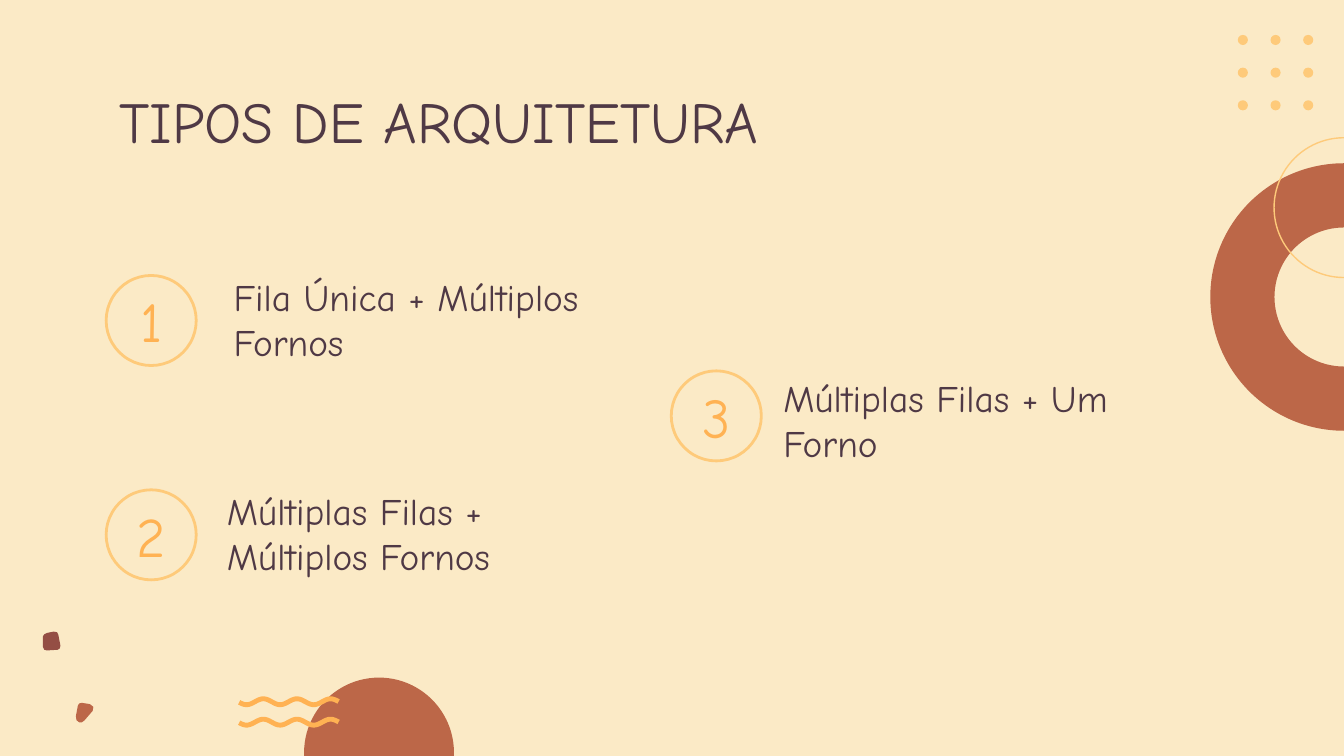
"""Builds a slide listing three types of queue architecture."""
import math

import pptx
import pptx.dml.color
import pptx.enum.shapes
import pptx.enum.text
import pptx.util

COLUMNS, ROWS = 100, 56.25
CELL = pptx.util.Inches(0.1)
FONT = "Comic Neue"
CREAM, PLUM, CLAY, MAROON = "FBEAC6", "4F3945", "BC6748", "944E44"
AMBER, ORANGE = "FECA7A", "FFB253"
SHAPE = pptx.enum.shapes.MSO_SHAPE
ANCHOR = pptx.enum.text.MSO_ANCHOR
ALIGN = pptx.enum.text.PP_ALIGN

BADGES = [("1", 7.9, 20.5), ("2", 7.9, 36.45), ("3", 49.95, 27.6)]
LABELS = [
    ("Fila Única + Múltiplos Fornos", 16.4, 19.65, 29.2, 8.4),
    ("Múltiplas Filas + Múltiplos Fornos", 15.9, 35.6, 30.3, 8.4),
    ("Múltiplas Filas + Um Forno", 57.3, 26.3, 26.3, 9.3),
]
PEBBLES = [
    (CLAY, [(6.1, 53.75), (6.3, 53.6), (6.9, 52.9), (6.95, 52.6), (6.7, 52.4),
            (6.1, 52.3), (5.9, 52.35), (5.8, 52.5), (5.65, 53.3), (5.7, 53.6),
            (5.9, 53.75)]),
    (MAROON, [(4.3, 48.35), (4.45, 48.25), (4.5, 48.05), (4.35, 47.25),
              (4.25, 47.05), (4, 47), (3.5, 47.1), (3.3, 47.2), (3.2, 47.35),
              (3.2, 48.15), (3.3, 48.35), (3.5, 48.4)]),
]


def cells(count):
    """Convert a count of grid cells to a length."""
    return pptx.util.Emu(round(count * CELL))


def colour(hex_code):
    """Turn a hex string into a colour."""
    return pptx.dml.color.RGBColor.from_string(hex_code)


def style(shape, fill=None, line=None, width=1):
    """Give a shape a flat fill and outline."""
    shape.shadow.inherit = False
    if fill:
        shape.fill.solid()
        shape.fill.fore_color.rgb = colour(fill)
    else:
        shape.fill.background()
    if line:
        shape.line.color.rgb = colour(line)
        shape.line.width = pptx.util.Pt(width)
    else:
        shape.line.fill.background()


def add_round(page, left, top, size, kind=SHAPE.OVAL, **look):
    """Add a circular shape of the given diameter."""
    shape = page.shapes.add_shape(kind, cells(left), cells(top), cells(size), cells(size))
    style(shape, **look)
    return shape


def add_outline(page, points, closed=True, **look):
    """Add a freeform through points given in grid cells."""
    corners = [(cells(x), cells(y)) for x, y in points]
    builder = page.shapes.build_freeform(*corners[0])
    builder.add_line_segments(corners[1:], close=closed)
    style(builder.convert_to_shape(), **look)


def add_wave(page, middle):
    """Add a wavy stroke around a given row."""
    start, end, crest, period, height, steps = 17.8, 25.2, 19.6, 2.5, 0.22, 60
    columns = [start + (end - start) * step / steps for step in range(steps + 1)]
    points = [(x, middle - height * math.cos(math.tau * (x - crest) / period))
              for x in columns]
    add_outline(page, points, closed=False, line=ORANGE, width=2.6)


def add_text(page, text, left, top, width, height, size=20, ink=PLUM,
             anchor=ANCHOR.BOTTOM, align=ALIGN.LEFT):
    """Add a wrapped text box in the slide's font."""
    box = page.shapes.add_textbox(cells(left), cells(top), cells(width), cells(height))
    frame = box.text_frame
    frame.word_wrap = True
    frame.vertical_anchor = anchor
    frame.margin_left = frame.margin_right = cells(1)
    frame.margin_top = frame.margin_bottom = cells(1)
    para = frame.paragraphs[0]
    para.alignment = align
    span = para.add_run()
    span.text = text
    span.font.name = FONT
    span.font.size = pptx.util.Pt(size)
    span.font.color.rgb = colour(ink)


def add_decoration(page):
    """Add the dots, rings, pebbles and waves along the edges."""
    for row in range(3):
        for column in range(3):
            add_round(page, 92.1 + 2.43 * column, 2.6 + 2.43 * row, 0.75, fill=AMBER)
    ring = add_round(page, 90.05, 12.15, 19.9, kind=SHAPE.DONUT, fill=CLAY)
    ring.adjustments[0] = 0.24
    add_round(page, 94.8, 10.25, 10.4, line=AMBER, width=0.75)
    add_round(page, 22.63, 50.42, 11.15, fill=CLAY)
    for fill, points in PEBBLES:
        add_outline(page, points, fill=fill)
    for middle in (52.22, 53.74):
        add_wave(page, middle)


def add_badge(page, number, left, top):
    """Add a number inside an outlined circle."""
    add_round(page, left, top, 6.7, line=AMBER, width=1.5)
    add_text(page, number, left + 0.6, top + 0.1, 5.5, 6.5, size=30, ink=ORANGE,
             anchor=ANCHOR.MIDDLE, align=ALIGN.CENTER)


def main():
    """Build and save the deck."""
    deck = pptx.Presentation()
    deck.slide_width, deck.slide_height = cells(COLUMNS), cells(ROWS)
    page = deck.slides.add_slide(deck.slide_layouts[6])
    page.background.fill.solid()
    page.background.fill.fore_color.rgb = colour(CREAM)
    add_decoration(page)
    for badge in BADGES:
        add_badge(page, *badge)
    for label in LABELS:
        add_text(page, *label)
    add_text(page, "TIPOS DE ARQUITETURA", 7.9, 5.85, 84.3, 6.2, size=31,
             anchor=ANCHOR.MIDDLE)
    deck.save("out.pptx")


if __name__ == "__main__":
    main()
